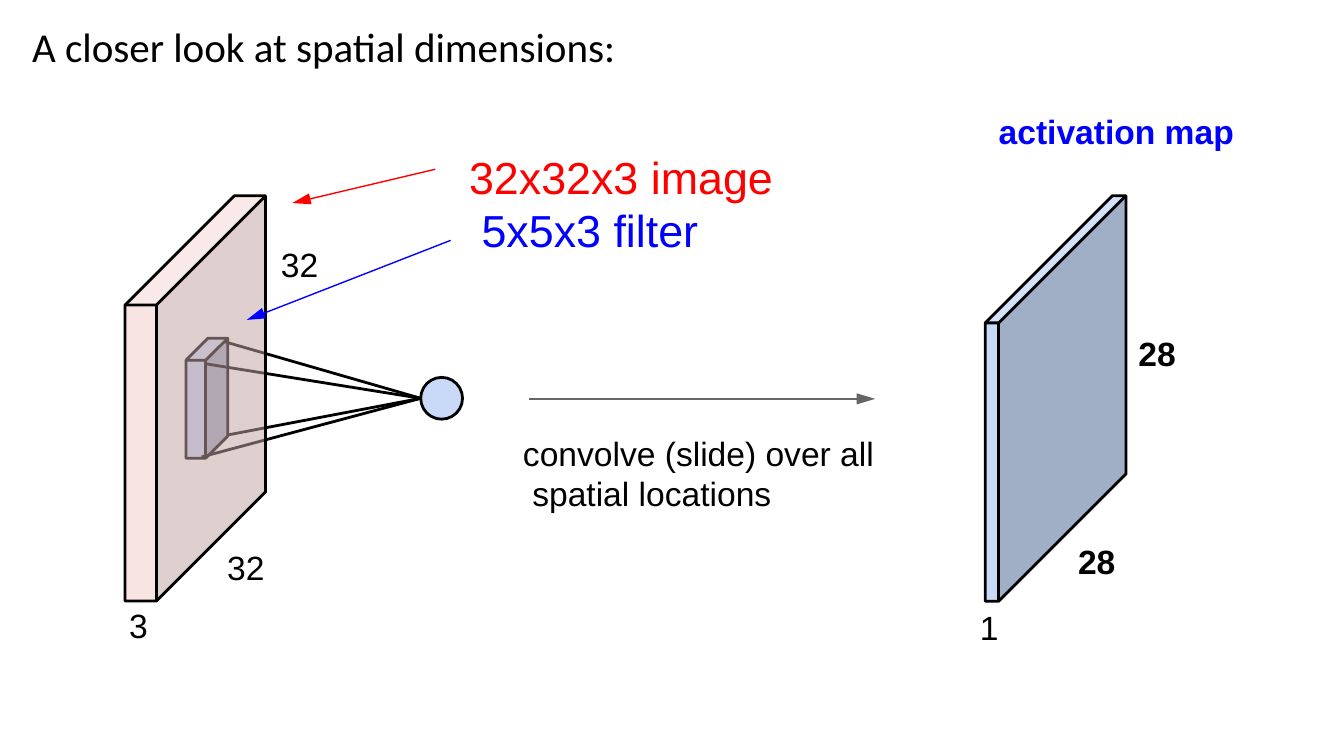
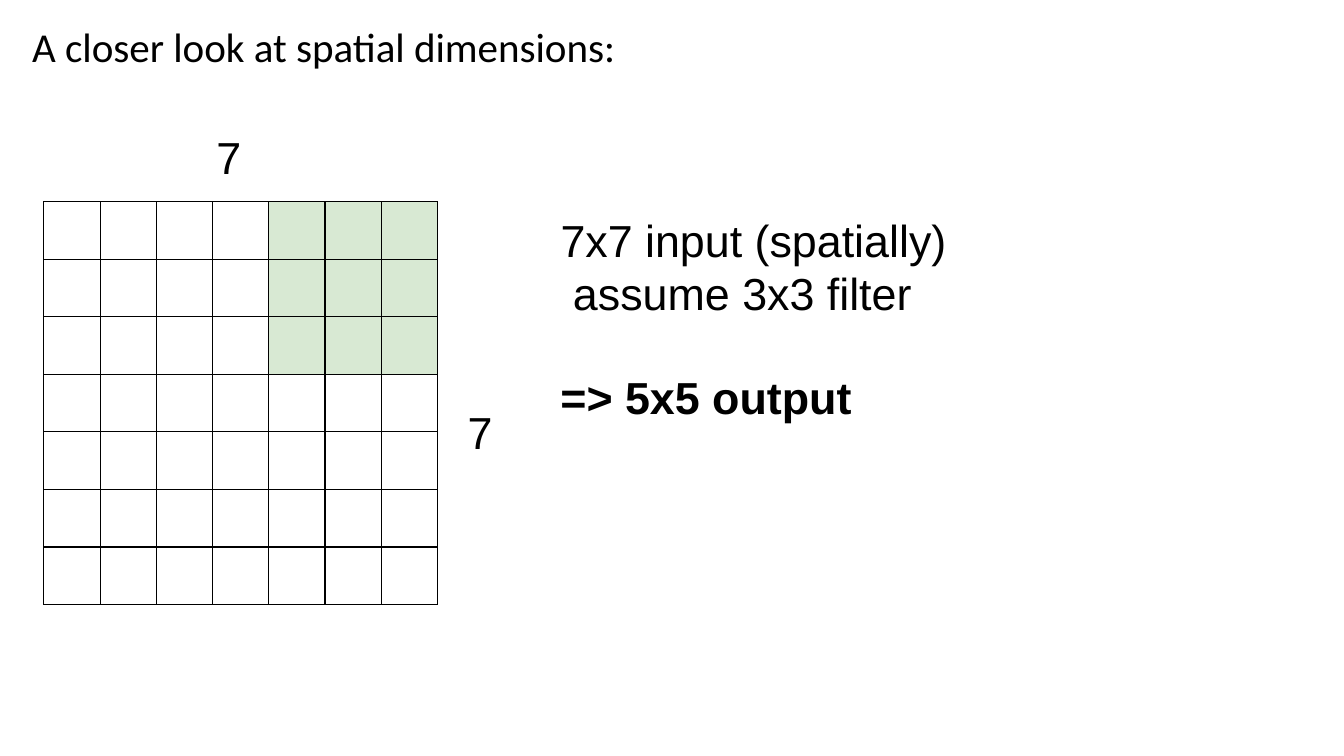
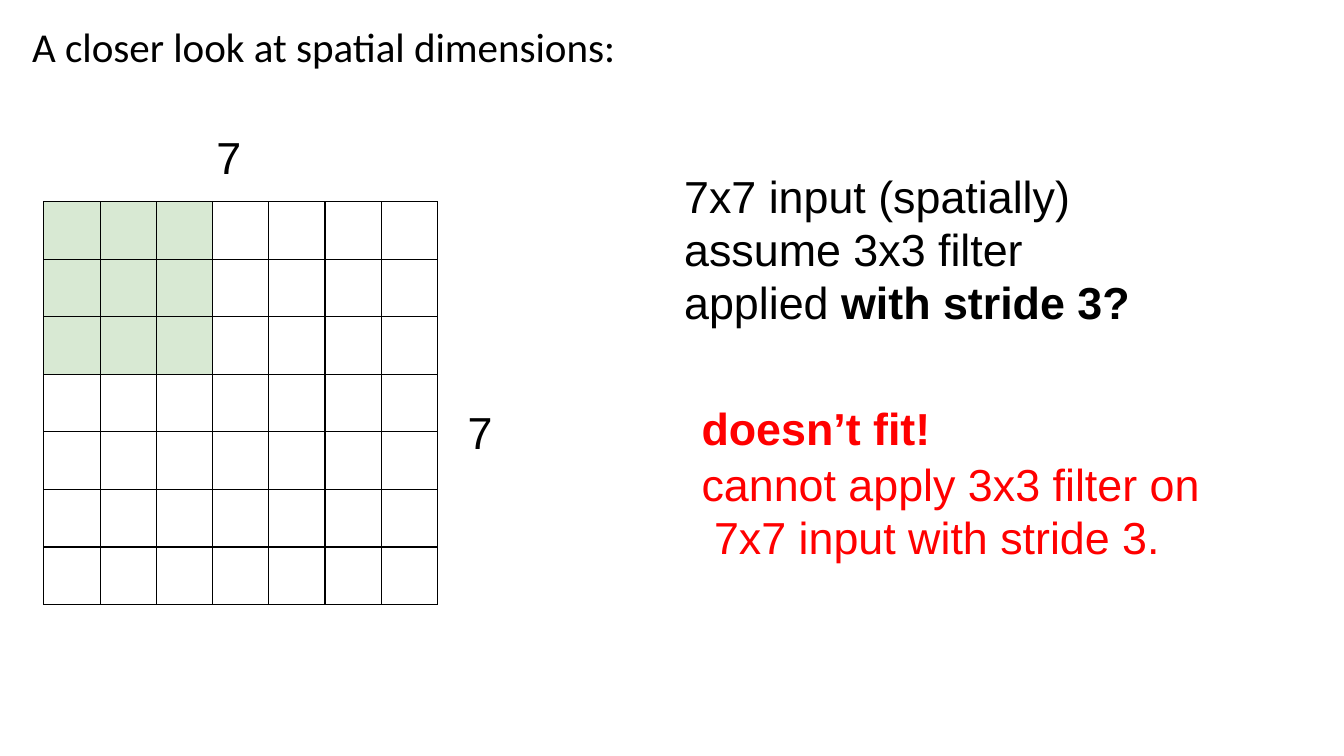
from lxml import etree
from pptx import Presentation
from pptx.dml.color import RGBColor
from pptx.enum import shapes, text
from pptx.oxml.ns import qn
from pptx.util import Pt

BLACK = RGBColor(0x00, 0x00, 0x00)
RED = RGBColor(0xFF, 0x00, 0x00)
BLUE = RGBColor(0x00, 0x00, 0xFF)
GRAY = RGBColor(0x66, 0x66, 0x66)
GREEN = RGBColor(0xD8, 0xE9, 0xD3)
PALE_BLUE = RGBColor(0xC8, 0xDA, 0xF7)
# Cuboid faces: front, side, top
BLUE_FACES = (PALE_BLUE, RGBColor(0xA0, 0xAE, 0xC6), RGBColor(0xD3, 0xE1, 0xF9))
PINK_FACES = (RGBColor(0xF4, 0xCC, 0xCC), RGBColor(0xC3, 0xA3, 0xA3),
              RGBColor(0xF6, 0xD6, 0xD6))
GRID = 7
FILTER = 3


class Deck:
    """Shared style and the slide being drawn."""

    title_font = "Calibri"
    body_font = "Arial"
    thick, thin = Pt(1.5), Pt(0.75)

    def __init__(self):
        self.prs = Presentation()
        self.prs.slide_width, self.prs.slide_height = Pt(720), Pt(405)
        self.slide = None

    def new_slide(self, title):
        self.slide = self.prs.slides.add_slide(self.prs.slide_layouts[5])
        heading = self.slide.shapes.title
        heading.left, heading.top = Pt(16.5), Pt(9.5)
        heading.width, heading.height = Pt(346), Pt(28)
        self.set_frame(heading.text_frame, 2, text.MSO_ANCHOR.MIDDLE)
        self.paragraph(heading.text_frame, title, 22, font=self.title_font)

    def set_frame(self, frame, inset, anchor=text.MSO_ANCHOR.TOP):
        frame.margin_left = frame.margin_right = frame.margin_bottom = 0
        frame.margin_top = Pt(inset)
        frame.vertical_anchor = anchor
        frame.word_wrap = True
        frame.auto_size = text.MSO_AUTO_SIZE.SHAPE_TO_FIT_TEXT

    def paragraph(self, frame, words, size, color=BLACK, bold=False,
                  font=body_font, indent=0.75, hang=0, spacing=None):
        """Fill the first paragraph, or add one when it is taken."""
        line = frame.paragraphs[0]
        if line.runs:
            line = frame.add_paragraph()
        line.text = words
        line.alignment = text.PP_ALIGN.LEFT
        layout = line._p.get_or_add_pPr()
        layout.set("marL", str(Pt(indent + hang)))
        layout.set("indent", str(Pt(-hang)))
        line.space_before = Pt(0)
        if spacing:
            line.line_spacing = Pt(spacing)
        line.font.name, line.font.size = font, Pt(size)
        line.font.color.rgb, line.font.bold = color, bold
        return line

    def box(self, left, top, width, height, inset=2):
        frame = self.slide.shapes.add_textbox(
            Pt(left), Pt(top), Pt(width), Pt(height)).text_frame
        self.set_frame(frame, inset)
        return frame

    def label(self, words, left, top, width, size=18, **style):
        frame = self.box(left, top, width, size * 1.2 + 2)
        self.paragraph(frame, words, size, **style)

    def line(self, start, end, color=BLACK, width=thick, arrow=False):
        link = self.slide.shapes.add_connector(
            shapes.MSO_CONNECTOR.STRAIGHT, *(Pt(v) for v in (*start, *end)))
        link.line.color.rgb, link.line.width = color, width
        if arrow:
            etree.SubElement(link.line._get_or_add_ln(), qn("a:tailEnd"),
                             type="triangle", w="med", len="lg")
        etree.SubElement(link._element.spPr, qn("a:effectLst"))

    def outline(self, points, fill=None, opacity=100, closed=True):
        """A filled face without a line, or a line without a fill."""
        start, *rest = [(Pt(x), Pt(y)) for x, y in points]
        builder = self.slide.shapes.build_freeform(*start)
        builder.add_line_segments(rest, close=closed)
        form = builder.convert_to_shape()
        form.shadow.inherit = False
        if fill is None:
            form.fill.background()
            form.line.color.rgb, form.line.width = BLACK, self.thick
            return
        form.fill.solid()
        form.fill.fore_color.rgb = fill
        form.line.fill.background()
        if opacity < 100:
            shade = form._element.spPr.find(".//" + qn("a:srgbClr"))
            etree.SubElement(shade, qn("a:alpha"), val=str(opacity * 1000))

    def cuboid(self, left, top, width, height, depth, faces, opacity=100):
        front_right, right = left + width, left + width + depth
        front_top, bottom = top + depth, top + depth + height
        a, b = (left, front_top), (front_right, front_top)
        c, d = (front_right, bottom), (left, bottom)
        e, f, g = (left + depth, top), (right, top), (right, top + height)
        for face, fill in zip(((a, b, c, d), (c, b, f, g), (b, a, e, f)), faces):
            self.outline(face, fill, opacity)
        self.outline((a, e, f, g, c, d))
        self.outline((a, b, f), closed=False)
        self.line(b, c)

    def neuron(self, left, top, size):
        circle = self.slide.shapes.add_shape(
            shapes.MSO_SHAPE.OVAL, Pt(left), Pt(top), Pt(size), Pt(size))
        circle.shadow.inherit = False
        circle.fill.solid()
        circle.fill.fore_color.rgb = PALE_BLUE
        circle.line.color.rgb, circle.line.width = BLACK, self.thick

    def input_grid(self, first_column):
        """The 7x7 input, with the filter on its top rows."""
        table = self.slide.shapes.add_table(
            GRID, GRID, Pt(23.5), Pt(108), Pt(211), Pt(216)).table
        table.first_row = table.horz_banding = False
        for column in table.columns:
            column.width = Pt(211 / GRID)
        for row in table.rows:
            row.height = Pt(216 / GRID)
        covered = range(first_column, first_column + FILTER)
        for i in range(GRID):
            for j in range(GRID):
                cell = table.cell(i, j)
                self.borders(cell)
                if i < FILTER and j in covered:
                    cell.fill.solid()
                    cell.fill.fore_color.rgb = GREEN
                else:
                    cell.fill.background()
        self.label("7", 115.2, 67.7, 16, size=24)
        self.label("7", 249.8, 214.6, 16, size=24)

    def borders(self, cell):
        props = cell._tc.get_or_add_tcPr()
        for side in ("a:lnL", "a:lnR", "a:lnT", "a:lnB"):
            edge = etree.SubElement(props, qn(side), w=str(self.thin))
            paint = etree.SubElement(edge, qn("a:solidFill"))
            etree.SubElement(paint, qn("a:srgbClr"), val=str(BLACK))


def convolution(deck):
    # Filter and the neuron it feeds
    deck.cuboid(99.7, 181.2, 10.6, 52.5, 11.8, BLUE_FACES)
    deck.neuron(225.4, 202.2, 22.4)
    for corner in ((108, 244.8), (109.6, 194.8), (120.4, 183.1), (122.2, 233)):
        deck.line(corner, (225.4, 213.4))

    # Input image
    deck.label("32", 121, 290.9, 22.5)
    deck.label("3", 68.4, 321.8, 12.5)
    deck.cuboid(67, 104.9, 16.8, 158.6, 58.5, PINK_FACES, opacity=52)
    sizes = deck.box(149.8, 76.3, 266, 75, inset=4.2)
    image_size = deck.paragraph(sizes, "32x32x3 image", 24, RED, indent=101.5,
                                hang=6.7, spacing=28.5)
    image_size.add_line_break()
    filter_size = image_size.add_run()
    filter_size.text = "5x5x3 filter"
    filter_size.font.color.rgb = BLUE
    deck.paragraph(sizes, "32", 18, spacing=14.8)
    for start, tip, color in (((233.2, 90.7), (156.6, 108.8), RED),
                              ((241.4, 128.8), (132.2, 171.4), BLUE),
                              ((283.6, 213.7), (468.9, 213.7), GRAY)):
        deck.line(start, tip, color, deck.thin, arrow=True)

    # Convolution step
    step = deck.box(279.4, 229.7, 193, 45)
    deck.paragraph(step, "convolve (slide) over all\vspatial locations", 18, hang=5)

    # Activation map
    deck.cuboid(527.8, 104.9, 7.3, 149.1, 68.1, BLUE_FACES)
    deck.label("activation map", 534.3, 57.6, 130, color=BLUE, bold=True)
    deck.label("1", 524.2, 323.3, 12.5)
    deck.label("28", 576.8, 288, 22.5, bold=True)
    deck.label("28", 609.1, 176.4, 22.5, bold=True)


def stride_one(deck):
    setup = deck.box(299.5, 110.2, 209, 59, inset=4.2)
    deck.paragraph(setup, "7x7 input (spatially)\vassume 3x3 filter", 24,
                   hang=6.7, spacing=28.5)
    deck.label("=> 5x5 output", 299.5, 195.8, 160, size=24, bold=True)
    deck.input_grid(first_column=GRID - FILTER)


def stride_three(deck):
    setup = deck.box(365.8, 86.4, 244, 88, inset=4.2)
    question = deck.paragraph(
        setup, "7x7 input (spatially)\vassume 3x3 filter\vapplied ", 24, spacing=28.5)
    stride = question.add_run()
    stride.text = "with stride 3?"
    stride.font.bold = True
    deck.input_grid(first_column=0)
    answer = deck.box(375.1, 213.1, 272, 88)
    deck.paragraph(answer, "doesn’t fit!", 24, RED, bold=True, spacing=28.6)
    reason = deck.paragraph(
        answer, "cannot apply 3x3 filter on\v7x7 input with stride 3.", 24, RED,
        hang=6.7, spacing=28.5)
    reason.space_before = Pt(1.1)


def main():
    deck = Deck()
    for draw in (convolution, stride_one, stride_three):
        deck.new_slide("A closer look at spatial dimensions:")
        draw(deck)
    deck.prs.save("out.pptx")


if __name__ == "__main__":
    main()
